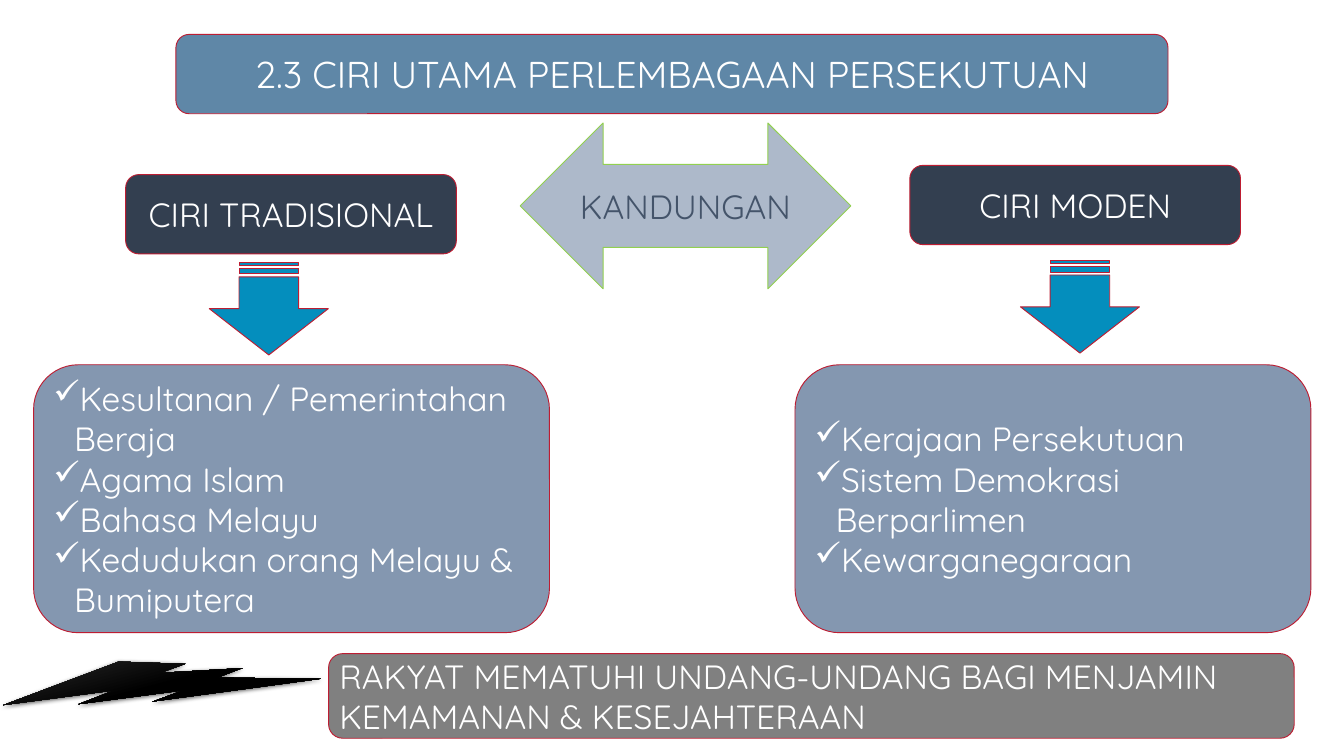
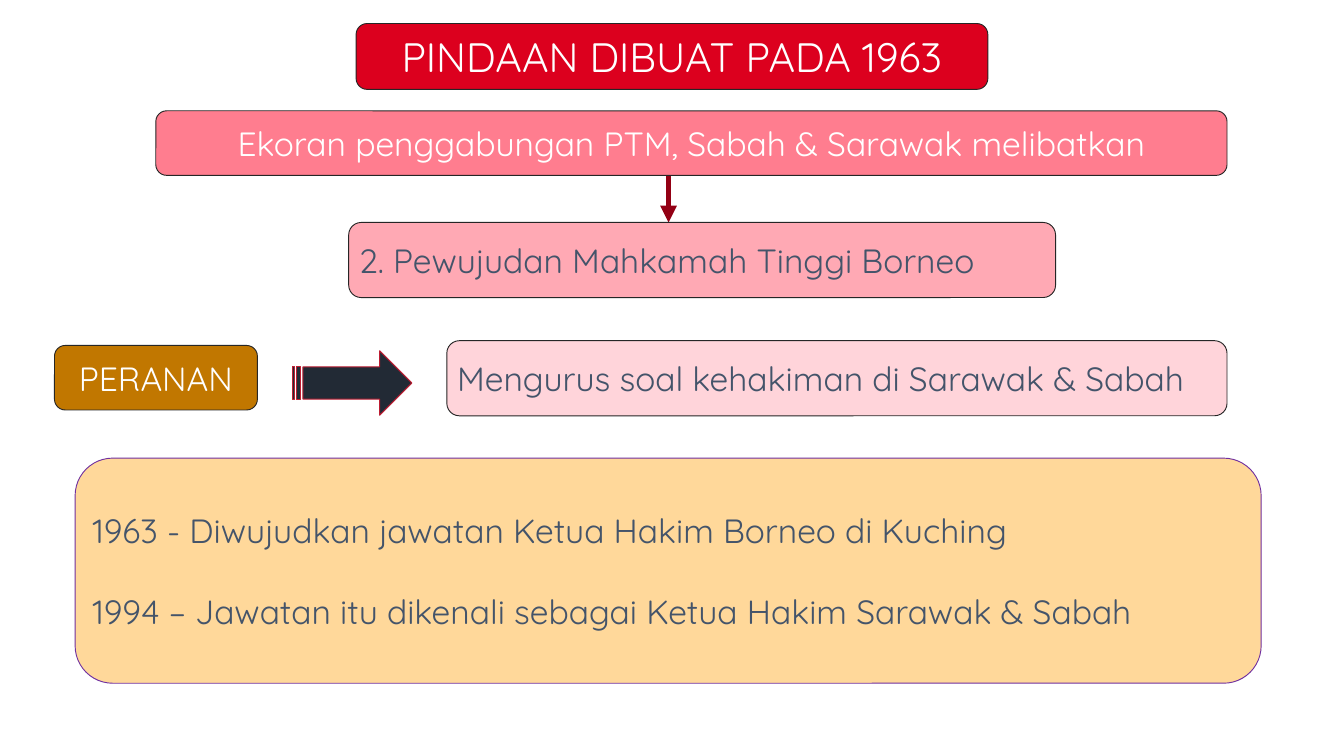
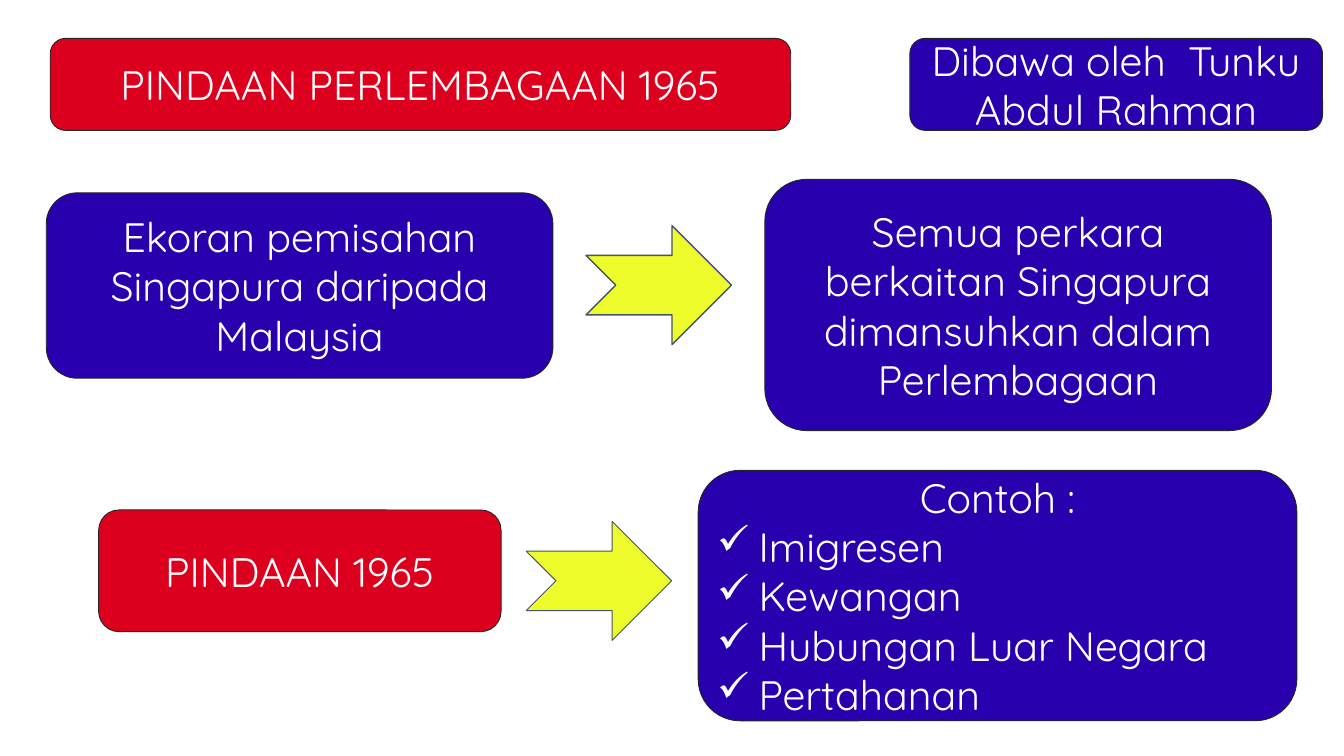
from pptx import Presentation
from pptx.dml.color import RGBColor
from pptx.enum import shapes, text
from pptx.oxml import parse_xml
from pptx.oxml.ns import nsdecls
from pptx.util import Cm, Pt

FONT = "Quicksand"
WHITE = RGBColor(0xFF, 0xFF, 0xFF)
BLACK = RGBColor(0x00, 0x00, 0x00)
COAL = RGBColor(0x4B, 0x4B, 0x4B)
INK = RGBColor(0x26, 0x26, 0x26)
SLATE = RGBColor(0x44, 0x54, 0x6A)
NAVY = RGBColor(0x33, 0x3F, 0x50)
NIGHT = RGBColor(0x22, 0x2A, 0x35)
STEEL = RGBColor(0x5F, 0x87, 0xA7)
MIST = RGBColor(0xAD, 0xB9, 0xCA)
HAZE = RGBColor(0x84, 0x97, 0xB0)
AZURE = RGBColor(0x04, 0x8E, 0xBD)
GREY = RGBColor(0x80, 0x80, 0x80)
GREEN = RGBColor(0x92, 0xD0, 0x50)
CRIMSON = RGBColor(0xBD, 0x1D, 0x32)
RED = RGBColor(0xDC, 0x00, 0x1E)
WINE = RGBColor(0x93, 0x00, 0x14)
CORAL = RGBColor(0xFF, 0x7D, 0x8F)
ROSE = RGBColor(0xFF, 0xA9, 0xB4)
BLUSH = RGBColor(0xFF, 0xD4, 0xDA)
BROWN = RGBColor(0xC1, 0x77, 0x00)
SAND = RGBColor(0xFF, 0xD8, 0x9A)
PURPLE = RGBColor(0x70, 0x30, 0xA0)
BLUE = RGBColor(0x28, 0x00, 0xAD)
YELLOW = RGBColor(0xED, 0xFC, 0x2A)

KIND = shapes.MSO_SHAPE
ROUND = KIND.ROUNDED_RECTANGLE
STRIPE = KIND.STRIPED_RIGHT_ARROW
LEFT, MID = text.PP_ALIGN.LEFT, text.PP_ALIGN.CENTER

# Slide 1: one column per group of features
TITLE = "2.3 CIRI UTAMA PERLEMBAGAAN PERSEKUTUAN"
CENTRE = "KANDUNGAN"
MOTTO = "RAKYAT MEMATUHI UNDANG-UNDANG BAGI MENJAMIN KEMAMANAN & KESEJAHTERAAN"
GROUPS = [
    {"name": "CIRI TRADISIONAL", "label": (4.75, 6.6), "drop": (8.41, 9.42), "list": 1.27,
     "items": ["Kesultanan / Pemerintahan Beraja", "Agama Islam", "Bahasa Melayu",
               "Kedudukan orang Melayu & Bumiputera"]},
    {"name": "CIRI MODEN", "label": (34.39, 6.25), "drop": (39.07, 9.35), "list": 30.05,
     "items": ["Kerajaan Persekutuan", "Sistem Demokrasi Berparlimen", "Kewarganegaraan"]},
]

# Slide 2: place, fill, text, format
BORNEO = [
    ((5.89, 4.19, 40.49, 2.44), CORAL,
     ["Ekoran penggabungan PTM, Sabah & Sarawak melibatkan"], {}),
    ((2.06, 13.06, 7.67, 2.44), BROWN, ["PERANAN"], {}),
    ((13.46, 0.89, 23.88, 2.49), RED, ["PINDAAN DIBUAT PADA 1963"], {"size": 44}),
    ((13.18, 8.41, 26.72, 2.84), ROSE,
     ["2. Pewujudan Mahkamah Tinggi Borneo"], {"ink": SLATE, "align": LEFT}),
    ((16.89, 12.88, 29.49, 2.84), BLUSH,
     ["Mengurus soal kehakiman di Sarawak & Sabah"], {"ink": SLATE, "align": LEFT}),
    ((2.84, 17.32, 44.83, 8.51), SAND,
     ["1963 - Diwujudkan jawatan Ketua Hakim Borneo di Kuching",
      "1994 – Jawatan itu dikenali sebagai Ketua Hakim Sarawak & Sabah"],
     {"ink": SLATE, "align": LEFT, "edge": PURPLE, "gap": 43}),
]

# Slide 3: place, fill, text, checked items
SPLIT = [
    ((1.9, 1.45, 27.99, 3.48), RED, ["PINDAAN PERLEMBAGAAN 1965"], []),
    ((1.75, 7.29, 19.15, 7.01), BLUE, ["Ekoran pemisahan Singapura daripada Malaysia"], []),
    ((34.39, 1.45, 15.6, 3.48), BLUE, ["Dibawa oleh  Tunku Abdul Rahman"], []),
    ((28.91, 6.78, 19.15, 9.5), BLUE,
     ["Semua perkara berkaitan Singapura dimansuhkan dalam Perlembagaan"], []),
    ((3.73, 19.28, 15.21, 4.6), RED, ["PINDAAN 1965"], []),
    ((26.39, 17.78, 22.63, 9.47), BLUE, ["Contoh :"],
     ["Imigresen", "Kewangan", "Hubungan Luar Negara", "Pertahanan"]),
]
NOTCHES = [((22.15, 8.53), 1.5), ((19.89, 19.71), 1)]


def form(slide, kind, place, fill, edge=INK, width=1):
    """Add a flat preset shape; place is left, top, width, height in cm."""
    shape = slide.shapes.add_shape(kind, *map(Cm, place))
    shape.shadow.inherit = False
    shape.fill.solid()
    shape.fill.fore_color.rgb = fill
    shape.line.color.rgb = edge
    shape.line.width = Pt(width)
    return shape


def check(para, hang):
    """Give a paragraph a hanging check mark."""
    props = para._p.get_or_add_pPr()
    for key, value in {"marL": Cm(hang), "indent": -Cm(hang)}.items():
        props.set(key, str(value))
    props.append(parse_xml(f'<a:buChar {nsdecls("a")} char="✓"/>'))


def box(slide, place, fill, lines, items=(), kind=ROUND, edge=INK,
        ink=WHITE, size=36, align=MID, hang=0.79, gap=0):
    """Add a shape with plain lines, then checked items."""
    frame = form(slide, kind, place, fill, edge).text_frame
    frame.word_wrap = True
    for i, words in enumerate([*lines, *items]):
        para = frame.paragraphs[0] if i == 0 else frame.add_paragraph()
        listed = i >= len(lines)
        if listed:
            check(para, hang)
        para.alignment = LEFT if listed else align
        if i and gap:
            para.space_before = Pt(gap)
        run = para.add_run()
        run.text = words
        for key, value in {"name": FONT, "size": Pt(size)}.items():
            setattr(run.font, key, value)
        run.font.color.rgb = ink


def bolt(slide):
    shape = form(slide, KIND.LIGHTNING_BOLT, (0.13, 24.64, 11.86, 2.59), BLACK)
    shape.rotation = 345.1
    shape.line.fill.background()
    shape.fill.gradient()
    shape.fill.gradient_angle = 270
    for stop, (spot, tone) in zip(shape.fill.gradient_stops, [(0, COAL), (0.5, BLACK)]):
        stop.position = spot
        stop.color.rgb = tone
    shape._element.spPr.find("{*}effectLst").append(parse_xml(
        f'<a:outerShdw {nsdecls("a")} blurRad="{Pt(4.5)}" dist="{Pt(1.5)}" dir="5400000" '
        'algn="ctr" rotWithShape="0"><a:srgbClr val="000000"><a:alpha val="63000"/>'
        '</a:srgbClr></a:outerShdw>'))


def arrow(slide, x, top, end):
    """Add a thick line that points down."""
    line = slide.shapes.add_connector(
        shapes.MSO_CONNECTOR.STRAIGHT, Cm(x), Cm(top), Cm(x), Cm(end))
    line.line.color.rgb = WINE
    line.line.width = Pt(6)
    line.line._get_or_add_ln().append(
        parse_xml(f'<a:tailEnd {nsdecls("a")} type="triangle"/>'))
    line._element.spPr.append(parse_xml(f'<a:effectLst {nsdecls("a")}/>'))


def traits(slide):
    box(slide, (19.66, 4.65, 12.5, 6.27), MIST, [CENTRE],
        kind=KIND.LEFT_RIGHT_ARROW, edge=GREEN, ink=SLATE)
    for group in GROUPS:
        box(slide, (*group["label"], 12.5, 3), NAVY, [group["name"]], edge=CRIMSON)
        drop = form(slide, STRIPE, (*group["drop"], 3.5, 4.5), AZURE, CRIMSON)
        drop.rotation = 90
        box(slide, (group["list"], 13.79, 19.5, 10.13), HAZE, [], group["items"],
            edge=CRIMSON)
    bolt(slide)
    box(slide, (12.42, 24.71, 36.5, 3.2), GREY, [MOTTO], edge=CRIMSON, align=LEFT)
    box(slide, (6.65, 1.3, 37.5, 3), STEEL, [TITLE], edge=CRIMSON, size=40)


def court(slide):
    arrow(slide, 25.27, 4.39, 8.41)
    for place, fill, lines, style in BORNEO:
        box(slide, place, fill, lines, **style)
    form(slide, STRIPE, (11.07, 13.26, 4.5, 2.44), NIGHT, CRIMSON)


def split(slide):
    for place, fill, lines, items in SPLIT:
        box(slide, place, fill, lines, items, size=44, hang=1.57)
    for spot, width in NOTCHES:
        form(slide, KIND.NOTCHED_RIGHT_ARROW, (*spot, 5.5, 4.5), YELLOW, SLATE, width)


def main():
    deck = Presentation()
    deck.slide_width, deck.slide_height = Cm(50.8), Cm(28.58)
    for draw in (traits, court, split):
        draw(deck.slides.add_slide(deck.slide_layouts[6]))
    deck.save("out.pptx")


if __name__ == "__main__":
    main()
